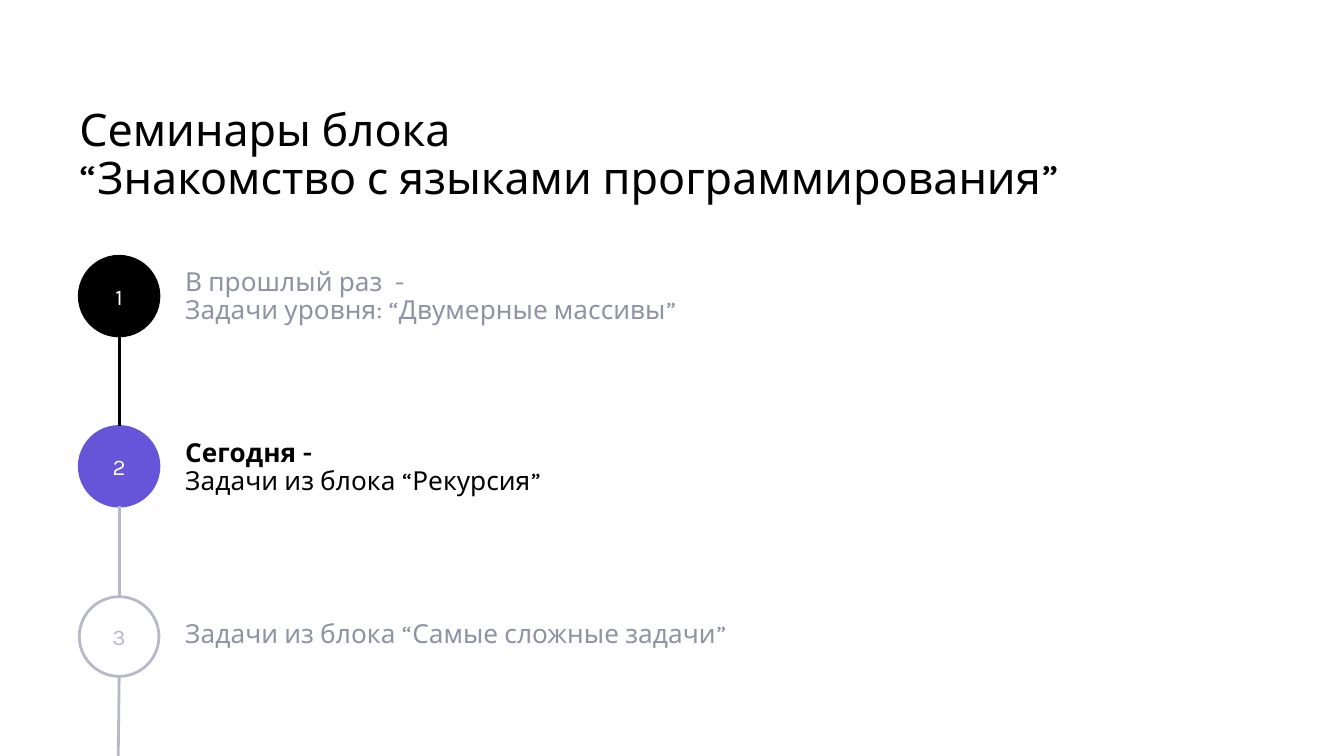
import pptx
import pptx.util
import pptx.dml.color
import pptx.enum.shapes
import pptx.enum.text
import pptx.oxml
import pptx.oxml.ns

Pt = pptx.util.Pt
ALIGN = pptx.enum.text.PP_ALIGN
ANCHOR = pptx.enum.text.MSO_ANCHOR
BLACK, WHITE, VIOLET = "000000", "FFFFFF", "6654D9"
PALE, GREY = "B7B9C8", "8F93A3"


def color(value):
    return pptx.dml.color.RGBColor.from_string(value)


def write_text(shape, lines, size, font_color, margins, anchor, alignment, spacing):
    frame = shape.text_frame
    left, top, right, bottom = margins
    frame_format = {
        "word_wrap": True,
        "auto_size": pptx.enum.text.MSO_AUTO_SIZE.NONE,
        "vertical_anchor": anchor,
        "margin_left": Pt(left),
        "margin_top": Pt(top),
        "margin_right": Pt(right),
        "margin_bottom": Pt(bottom),
    }
    for name, value in frame_format.items():
        setattr(frame, name, value)
    for index, (text, bold) in enumerate(lines):
        paragraph = frame.paragraphs[0] if index == 0 else frame.add_paragraph()
        paragraph_format = {
            "alignment": alignment,
            "line_spacing": spacing,
            "space_before": Pt(0),
            "space_after": Pt(0),
        }
        for name, value in paragraph_format.items():
            setattr(paragraph, name, value)
        run = paragraph.add_run()
        run.text = text
        for name, value in {"name": "Karla", "size": Pt(size), "bold": bold}.items():
            setattr(run.font, name, value)
        run.font.color.rgb = color(font_color)


presentation = pptx.Presentation()
presentation.slide_width = Pt(720)
presentation.slide_height = Pt(405)
slide = presentation.slides.add_slide(presentation.slide_layouts[5])
slide.background.fill.solid()
slide.background.fill.fore_color.rgb = color(WHITE)

title = slide.shapes.title
title_place = {"left": 42.5, "top": 57, "width": 635, "height": 25}
for name, value in title_place.items():
    setattr(title, name, Pt(value))
title_lines = [
    ("Семинары блока", False),
    ("“Знакомство с языками программирования”", False),
]
write_text(title, title_lines, 24, BLACK, (0, 0.7, 0, 0), ANCHOR.TOP, ALIGN.LEFT, 0.9)

circle_left, circle_top, diameter, step = 42.5, 137.3, 42.7, 91.2
center = circle_left + diameter / 2
text_left = 99.2

seminars = [
    {
        "fill": BLACK, "line": BLACK, "number": WHITE, "text": GREY,
        "box": (136.8, 417, 44),
        "lines": [("В прошлый раз  -", False),
                  ("Задачи уровня: “Двумерные массивы”", False)],
    },
    {
        "fill": VIOLET, "line": VIOLET, "number": WHITE, "text": BLACK,
        "box": (228.3, 350, 42.7),
        "lines": [("Сегодня -", True), ("Задачи из блока “Рекурсия”", False)],
    },
    {
        "fill": WHITE, "line": PALE, "number": PALE, "text": GREY,
        "box": (325.4, 355, 29.5),
        "lines": [("Задачи из блока “Самые сложные задачи”", False)],
    },
]

for index, seminar in enumerate(seminars):
    top = circle_top + index * step
    circle = slide.shapes.add_shape(
        pptx.enum.shapes.MSO_SHAPE.OVAL,
        Pt(circle_left), Pt(top), Pt(diameter), Pt(diameter))
    circle.shadow.inherit = False
    circle.fill.solid()
    circle.fill.fore_color.rgb = color(seminar["fill"])
    circle.line.color.rgb = color(seminar["line"])
    circle.line.width = Pt(1.5)
    write_text(circle, [(str(index + 1), False)], 12, seminar["number"],
               (7.2, 7.2, 7.2, 7.2), ANCHOR.MIDDLE, ALIGN.CENTER, 1.0)

    box_top, box_width, box_height = seminar["box"]
    label = slide.shapes.add_textbox(
        Pt(text_left), Pt(box_top), Pt(box_width), Pt(box_height))
    write_text(label, seminar["lines"], 14, seminar["text"],
               (0, 7.2, 7.2, 7.2), ANCHOR.TOP, ALIGN.LEFT, 0.9)

segments = [
    (BLACK, center, circle_top + step),
    (PALE, center, circle_top + 2 * step),
    (PALE, center - 0.5, 406),
]
for index, (line_color, end_x, end_y) in enumerate(segments):
    connector = slide.shapes.add_connector(
        pptx.enum.shapes.MSO_CONNECTOR.STRAIGHT,
        Pt(center), Pt(circle_top + index * step + diameter), Pt(end_x), Pt(end_y))
    connector.line.color.rgb = color(line_color)
    connector.line.width = Pt(1.5)
    properties = connector._element.spPr
    properties.append(pptx.oxml.parse_xml(
        "<a:effectLst %s/>" % pptx.oxml.ns.nsdecls("a")))

presentation.save("out.pptx")
